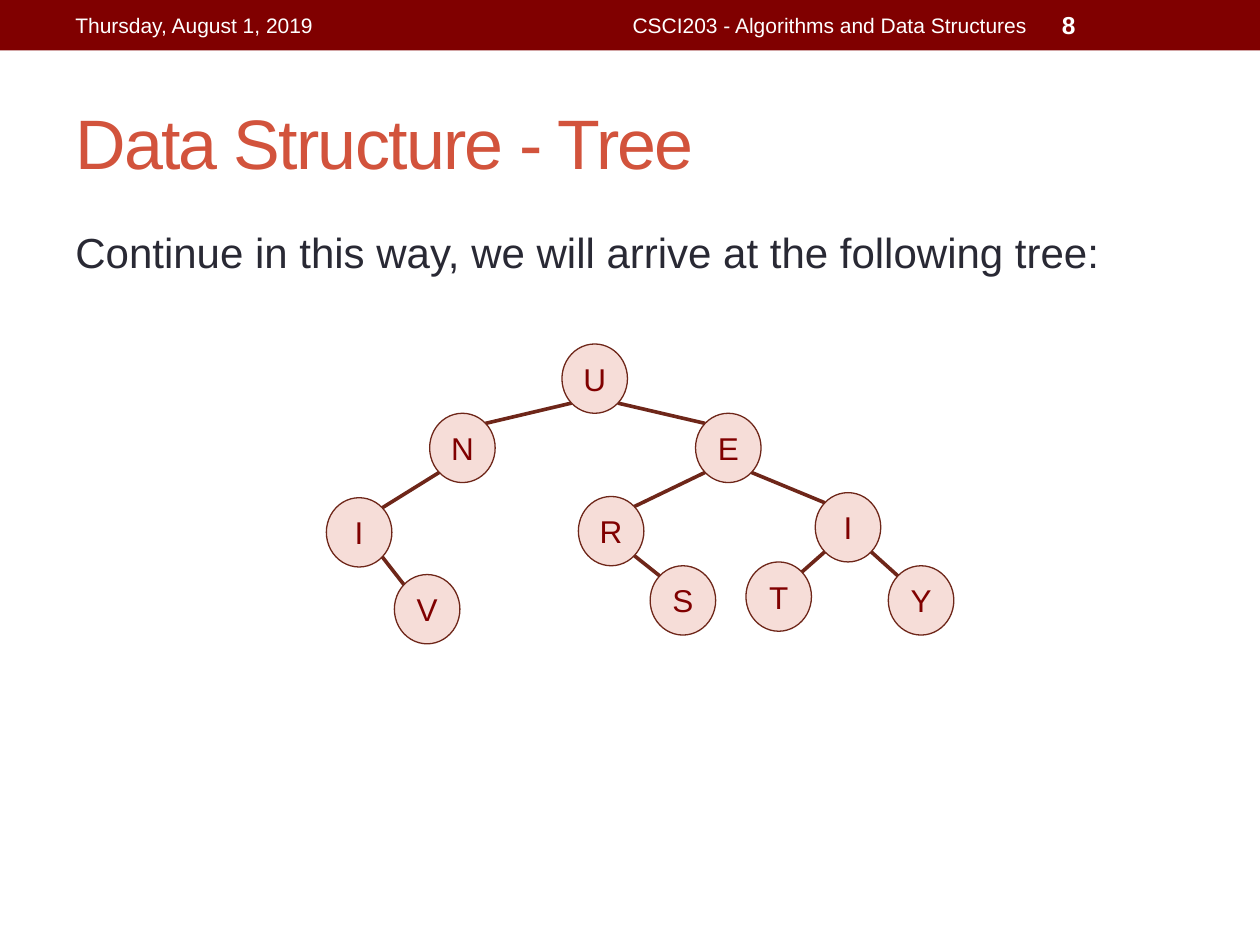
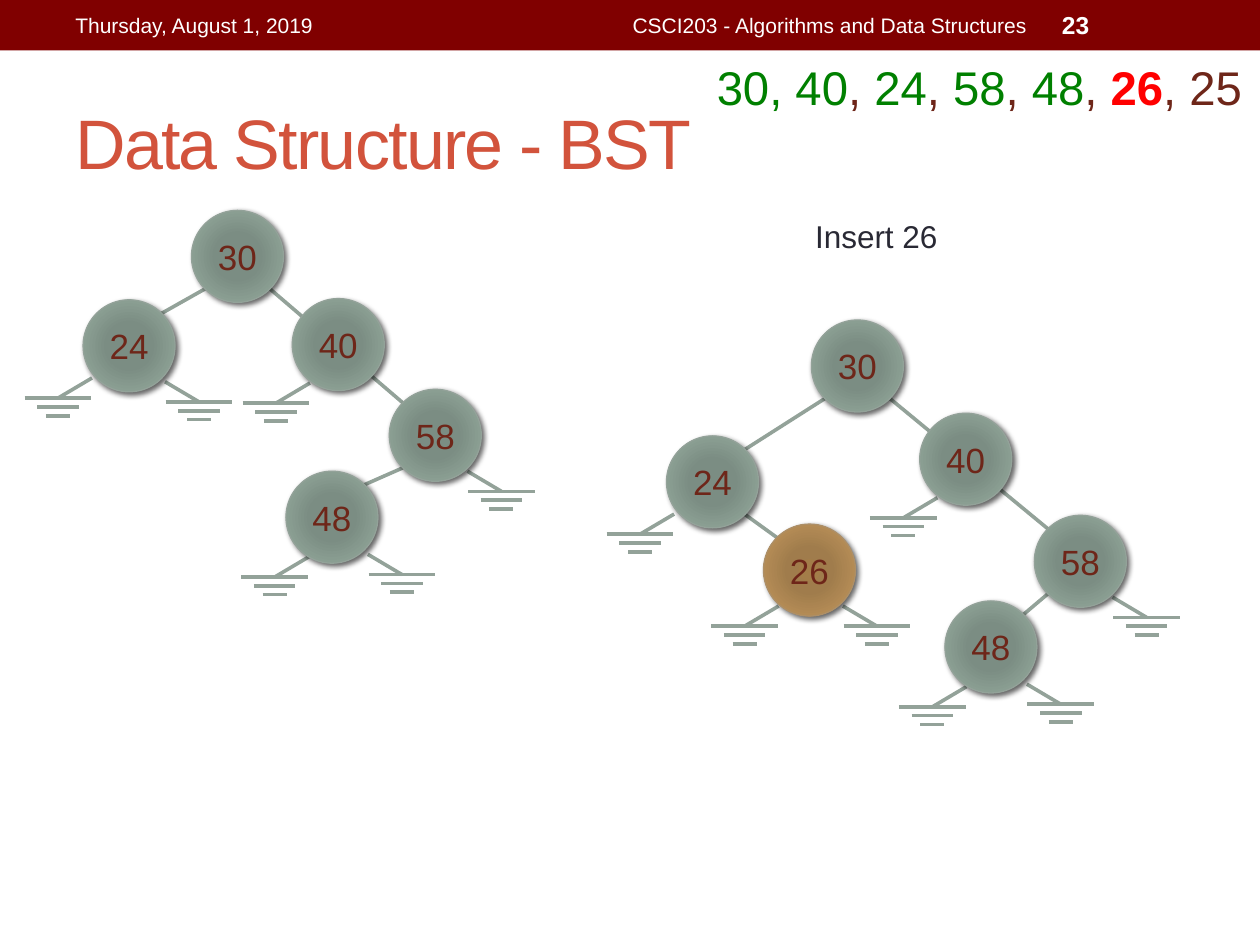
from dataclasses import dataclass
from math import sqrt

from lxml.etree import SubElement
from pptx import Presentation
from pptx.dml.color import RGBColor
from pptx.enum.shapes import MSO_CONNECTOR as LINE, MSO_SHAPE as SHAPE
from pptx.enum.text import MSO_ANCHOR as ANCHOR, PP_ALIGN as ALIGN
from pptx.oxml import parse_xml
from pptx.oxml.ns import nsdecls, qn
from pptx.util import Inches, Pt

# ---- Content: node -> left, top; edges run parent -> child ----

DATE = "Thursday, August 1, 2019"
COURSE = "CSCI203 - Algorithms and Data Structures"

LETTER_TREE = {
    "nodes": [("U", 4.46, 2.73), ("N", 3.41, 3.28), ("E", 5.52, 3.28),
              ("I", 2.59, 3.95), ("V", 3.13, 4.56), ("R", 4.59, 3.94),
              ("I", 6.47, 3.91), ("S", 5.16, 4.49), ("T", 5.92, 4.46),
              ("Y", 7.05, 4.49)],
    # Positions in the node list, as the letter I occurs twice
    "edges": [(0, 1), (0, 2), (1, 3), (3, 4), (2, 5), (2, 6), (5, 7), (6, 8), (6, 9)],
    "grounds": [],
}

# The edge from 30 to 58 passes behind 40.
# Grounds: centre of the top bar, and the side of the node it hangs on.
BEFORE_INSERT = {
    "nodes": [("30", 1.52, 1.67), ("24", 0.66, 2.38), ("40", 2.32, 2.37),
              ("58", 3.09, 3.09), ("48", 2.27, 3.74)],
    "edges": [(0, 1), (0, 3), (3, 4)],
    "grounds": [(0.46, 3.16, "left"), (1.58, 3.19, "right"), (2.19, 3.2, "left"),
                (3.98, 3.9, "right"), (2.18, 4.58, "left"), (3.19, 4.56, "right")],
}
AFTER_INSERT = {
    "nodes": [("30", 6.44, 2.54), ("24", 5.29, 3.46), ("40", 7.3, 3.28),
              ("58", 8.21, 4.09), ("48", 7.5, 4.77), ("26", 6.06, 4.16)],
    "edges": [(0, 1), (0, 3), (3, 4), (1, 5)],
    "grounds": [(5.08, 4.24, "left"), (7.17, 4.11, "left"), (9.1, 4.9, "right"),
                (7.4, 5.61, "left"), (8.42, 5.59, "right"),
                (5.91, 4.97, "left"), (6.96, 4.97, "right")],
}
INSERTED = "26"
KEYS = [("30, 40", "done"), (", ", "pending"), ("24", "done"), (", ", "pending"),
        ("58", "done"), (", ", "pending"), ("48", "done"), (", ", "pending"),
        (INSERTED, "current"), (", 25", "pending")]


# ---- Theme ----

@dataclass(frozen=True)
class Theme:
    font: str = "Arial"
    white: str = "FFFFFF"
    maroon: str = "800000"
    title: str = "D2533C"
    body: str = "292934"
    brown: str = "6E2619"
    pink: str = "F6DDD8"
    sage: str = "93A299"
    sage_stops: tuple = ((0, "7B8E82"), (34, "7B8D83"), (70, "8A9E92"), (100, "93A299"))
    amber_stops: tuple = ((0, "A37D49"), (34, "A07C4C"), (70, "B38B55"), (100, "AD8F67"))
    done: str = "008000"
    current: str = "FF0000"
    title_size: float = 40
    keys_size: float = 27
    body_size: float = 24
    key_size: float = 20
    note_size: float = 18
    number_size: float = 14
    header_size: float = 12
    outline: float = 0.75
    edge: float = 2.08


THEME = Theme()
KEY_COLORS = {"done": THEME.done, "pending": THEME.brown, "current": THEME.current}
LETTER_SIZE = (0.52, 0.55)
KEY_SIZE = (0.73, 0.73)
GROUND_BARS = (0.53, 0.33, 0.19)
GROUND_GAP = 0.07
GROUND_LEAD = (0.27, 0.16)


def rgb(color):
    return RGBColor.from_string(color)


def inches(*lengths):
    return [Inches(length) for length in lengths]


def style(paragraph, size, color, align=ALIGN.LEFT, bold=False):
    paragraph.alignment = align
    font = paragraph.font
    font.name, font.size, font.bold = THEME.font, Pt(size), bold
    font.color.rgb = rgb(color)


def add_text(slide, text, box, size, color, align=ALIGN.LEFT, bold=False,
             anchor=ANCHOR.TOP):
    frame = slide.shapes.add_textbox(*inches(*box)).text_frame
    frame.word_wrap = True
    frame.vertical_anchor = anchor
    paragraph = frame.paragraphs[0]
    paragraph.text = text
    style(paragraph, size, color, align, bold)
    return paragraph


def add_shape(slide, kind, box, fill=None):
    shape = slide.shapes.add_shape(kind, *inches(*box))
    shape.shadow.inherit = False
    if fill:
        shape.fill.solid()
        shape.fill.fore_color.rgb = rgb(fill)
    shape.line.fill.background()
    return shape


def add_line(slide, start, end, color):
    line = slide.shapes.add_connector(LINE.STRAIGHT, *inches(*start, *end))
    line.line.color.rgb = rgb(color)
    line.line.width = Pt(THEME.edge)
    SubElement(line._element.spPr, qn("a:effectLst"))


def add_glow(shape, stops):
    """Give the shape a round gradient and a soft shadow to the lower right."""
    properties = shape._element.spPr
    gradient_stops = "".join(
        f'<a:gs pos="{place * 1000}"><a:srgbClr val="{color}"/></a:gs>'
        for place, color in stops)
    properties.insert(2, parse_xml(
        f'<a:gradFill {nsdecls("a")} rotWithShape="1"><a:gsLst>{gradient_stops}</a:gsLst>'
        '<a:path path="circle"><a:fillToRect l="100000" t="100000" r="100000"'
        ' b="100000"/></a:path></a:gradFill>'))
    properties.find(qn("a:effectLst")).append(parse_xml(
        f'<a:outerShdw {nsdecls("a")} blurRad="{Pt(3)}" dist="{Pt(2)}" dir="2700000"'
        ' algn="tl" rotWithShape="0"><a:srgbClr val="000000"><a:alpha val="60000"/>'
        '</a:srgbClr></a:outerShdw>'))


def add_node(slide, label, box, line, text_color, text_size, fill=None, stops=None):
    node = add_shape(slide, SHAPE.OVAL, box, fill)
    if stops:
        add_glow(node, stops)
    node.line.color.rgb = rgb(line)
    node.line.width = Pt(THEME.outline)
    frame = node.text_frame
    frame.margin_left = frame.margin_right = frame.margin_top = frame.margin_bottom = 0
    frame.vertical_anchor = ANCHOR.MIDDLE
    frame.word_wrap = False
    frame.paragraphs[0].text = label
    style(frame.paragraphs[0], text_size, text_color, ALIGN.CENTER)


def add_letter(slide, label, box):
    add_node(slide, label, box, THEME.brown, THEME.maroon, THEME.note_size, THEME.pink)


def add_key(slide, label, box):
    stops = THEME.amber_stops if label == INSERTED else THEME.sage_stops
    add_node(slide, label, box, stops[-1][1], THEME.brown, THEME.key_size, stops=stops)


def add_ground(slide, x, y, side, color):
    """Draw an empty subtree: a slanted lead and three shrinking bars."""
    run, rise = GROUND_LEAD
    lead_x = x + run if side == "left" else x - run
    add_line(slide, (lead_x, y - rise), (x, y), color)
    for row, width in enumerate(GROUND_BARS):
        bar_y = y + row * GROUND_GAP
        add_line(slide, (x - width / 2, bar_y), (x + width / 2, bar_y), color)


def add_tree(slide, tree, node_size, color, draw_node):
    """Join nodes at the 45 degree points of their ovals, then draw them on top."""
    width, height = node_size
    reach_x, reach_y = width / 2 / sqrt(2), height / 2 / sqrt(2)
    centers = [(left + width / 2, top + height / 2) for _, left, top in tree["nodes"]]
    for parent, child in tree["edges"]:
        (parent_x, parent_y), (child_x, child_y) = centers[parent], centers[child]
        side = 1 if child_x > parent_x else -1
        add_line(slide, (parent_x + side * reach_x, parent_y + reach_y),
                 (child_x - side * reach_x, child_y - reach_y), color)
    for x, y, side in tree["grounds"]:
        add_ground(slide, x, y, side, color)
    for label, left, top in tree["nodes"]:
        draw_node(slide, label, (left, top, width, height))


def add_slide(deck, title, number):
    """Start a slide with the header band and title that all slides share."""
    slide = deck.slides.add_slide(deck.slide_layouts[6])
    add_shape(slide, SHAPE.RECTANGLE, (0, 0, 10, 0.4), THEME.maroon)
    heading = add_text(slide, title, (0.5, 0.58, 9, 1.08), THEME.title_size, THEME.title,
                       anchor=ANCHOR.MIDDLE)
    heading.runs[0].font._element.set("spc", "-100")
    for text, left, width, size, align, bold in (
            (DATE, 0.5, 3.17, THEME.header_size, ALIGN.LEFT, False),
            (COURSE, 3.75, 4.5, THEME.header_size, ALIGN.RIGHT, False),
            (str(number), 8.33, 1.17, THEME.number_size, ALIGN.LEFT, True)):
        add_text(slide, text, (left, 0.02, width, 0.36), size, THEME.white, align, bold,
                 ANCHOR.MIDDLE)
    return slide


def add_key_sequence(slide):
    strip = add_shape(slide, SHAPE.RECTANGLE, (5.59, 0.41, 4.41, 0.57), THEME.white)
    frame = strip.text_frame
    frame.vertical_anchor = ANCHOR.TOP
    sequence = frame.paragraphs[0]
    style(sequence, THEME.keys_size, THEME.brown)
    for text, state in KEYS:
        run = sequence.add_run()
        run.text = text
        run.font.color.rgb = rgb(KEY_COLORS[state])
        run.font.bold = state == "current"


def main():
    deck = Presentation()
    deck.slide_width, deck.slide_height = inches(10, 7.5)

    letters = add_slide(deck, "Data Structure - Tree", 8)
    intro = add_text(letters, "Continue in this way, we will arrive at the following tree:",
                     (0.5, 1.75, 9, 5.33), THEME.body_size, THEME.body)
    intro.space_before = Pt(THEME.body_size * 0.2)
    add_tree(letters, LETTER_TREE, LETTER_SIZE, THEME.brown, add_letter)

    search = add_slide(deck, "Data Structure - BST", 23)
    add_text(search, f"Insert {INSERTED}", (5.83, 1.67, 2.25, 0.4), THEME.note_size,
             THEME.body, ALIGN.CENTER)
    for tree in (BEFORE_INSERT, AFTER_INSERT):
        add_tree(search, tree, KEY_SIZE, THEME.sage, add_key)
    add_key_sequence(search)

    deck.save("out.pptx")


if __name__ == "__main__":
    main()
